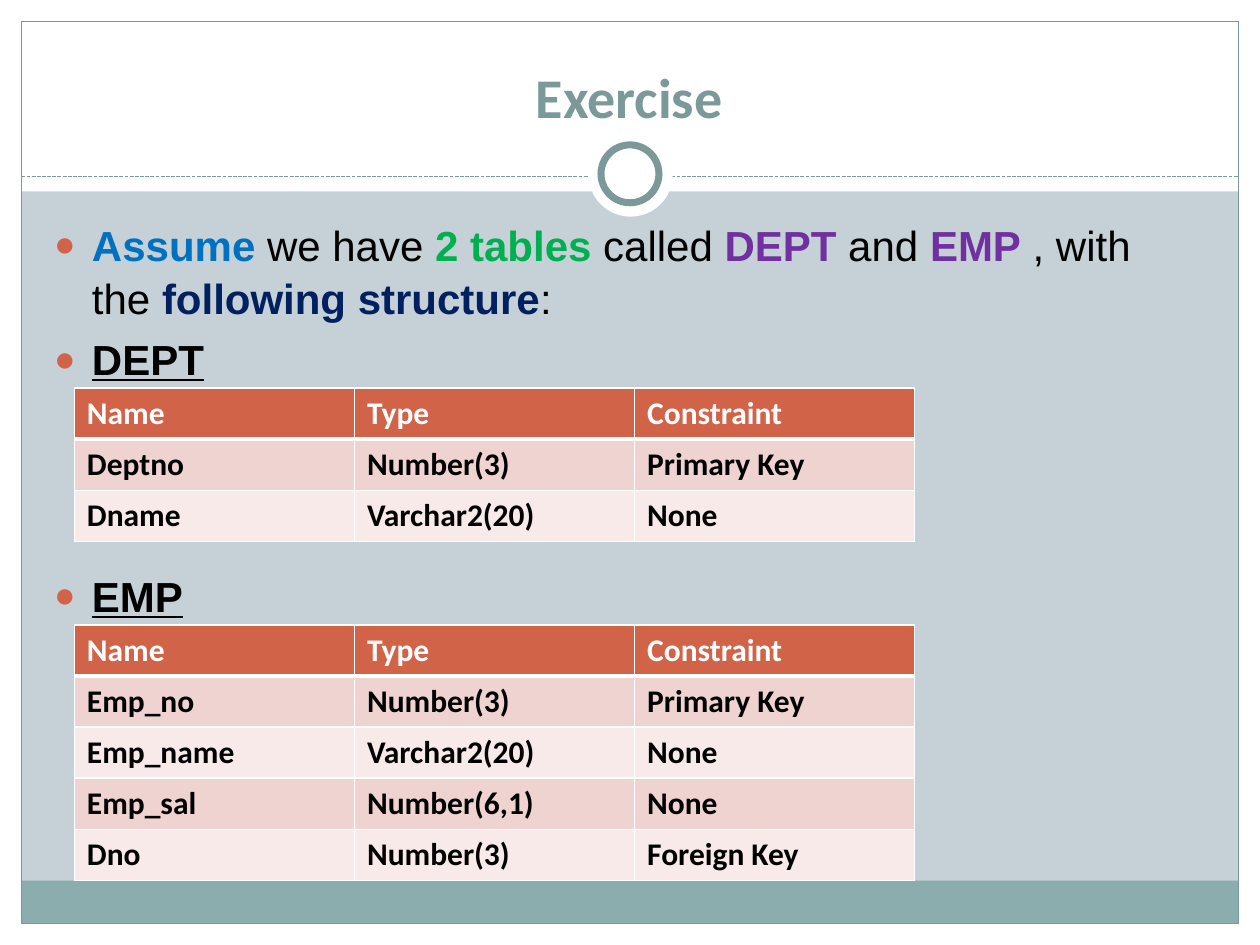
from lxml import etree
from pptx import Presentation
from pptx.dml.color import RGBColor
from pptx.enum.dml import MSO_LINE
from pptx.enum.shapes import MSO_CONNECTOR, MSO_SHAPE
from pptx.enum.text import MSO_ANCHOR, MSO_AUTO_SIZE, PP_ALIGN
from pptx.oxml.ns import qn
from pptx.util import Inches, Pt

RECTANGLE, OVAL = MSO_SHAPE.RECTANGLE, MSO_SHAPE.OVAL
STRAIGHT = MSO_CONNECTOR.STRAIGHT
DASH = MSO_LINE.SQUARE_DOT
TOP, BOTTOM = MSO_ANCHOR.TOP, MSO_ANCHOR.BOTTOM
LEFT, CENTER = PP_ALIGN.LEFT, PP_ALIGN.CENTER
NO_FIT = MSO_AUTO_SIZE.NONE

COLORS = {
    "background": "C5D1D7", "white": "FFFFFF", "black": "000000",
    "footer": "8CADAE", "slate": "7C999A", "accent": "D16349",
    "odd_row": "EED3D0", "even_row": "F7EAE9", "blue": "0070C0",
    "green": "00B050", "purple": "7030A0", "navy": "002060",
}
INTRO = [
    ("Assume", "blue"), (" we have ", None), ("2 tables ", "green"),
    ("called ", None), ("DEPT", "purple"), (" and ", None),
    ("EMP", "purple"), (" , with the ", None),
    ("following structure", "navy"), (":", None),
]
HEADER = ("Name", "Type", "Constraint")
DEPT_ROWS = [
    HEADER,
    ("Deptno", "Number(3)", "Primary Key"),
    ("Dname", "Varchar2(20)", "None"),
]
EMP_ROWS = [
    HEADER,
    ("Emp_no", "Number(3)", "Primary Key"),
    ("Emp_name", "Varchar2(20)", "None"),
    ("Emp_sal", "Number(6,1)", "None"),
    ("Dno", "Number(3)", "Foreign Key"),
]


def rgb(name):
    """Return the palette colour with this name."""
    return RGBColor.from_string(COLORS[name])


def add_span(para, text, size=24, font="Arial", color="black", bold=True, underline=False):
    """Add a formatted run of text to a paragraph."""
    span = para.add_run()
    span.text = text
    span.font.size = Pt(size)
    span.font.name = font
    span.font.bold = bold
    span.font.underline = underline
    span.font.color.rgb = rgb(color)


def add_panel(page, box, kind=RECTANGLE, fill=None, line=None, width=0.75):
    """Add a plain shape with an optional fill and outline."""
    panel = page.shapes.add_shape(kind, *map(Inches, box))
    panel.shadow.inherit = False
    if fill:
        panel.fill.solid()
        panel.fill.fore_color.rgb = rgb(fill)
    else:
        panel.fill.background()
    if line:
        panel.line.color.rgb = rgb(line)
        panel.line.width = Pt(width)
    else:
        panel.line.fill.background()
    return panel


def add_frame(page, width, height):
    """Draw the white margins, footer band, border, dashed rule and ring."""
    edge = 0.17
    inner = width - 2 * edge
    for box in (
        (0, height - edge, width, edge),
        (0, 0, width, 1.52),
        (0, 0, edge, height),
        (width - edge, 0, edge, height),
    ):
        add_panel(page, box, fill="white")
    add_panel(page, (edge, 6.99, inner, 0.34), fill="footer")
    add_panel(page, (edge, edge, inner, height - 2 * edge), line="slate")
    rule = page.shapes.add_connector(
        STRAIGHT, Inches(edge), Inches(1.4), Inches(width - edge), Inches(1.4))
    rule.line.color.rgb = rgb("slate")
    rule.line.width = Pt(0.75)
    rule.line.dash_style = DASH
    etree.SubElement(rule.element.spPr, qn("a:effectLst"))
    add_panel(page, (4.67, 1.05, 0.67, 0.67), OVAL, fill="white")
    return add_panel(page, (4.77, 1.15, 0.46, 0.46), OVAL, "white", "slate", 4)


def place_holder(holder, box, anchor):
    """Move a placeholder to its box and prepare its text frame."""
    holder.left, holder.top, holder.width, holder.height = map(Inches, box)
    frame = holder.text_frame
    frame.word_wrap = True
    frame.auto_size = NO_FIT
    frame.vertical_anchor = anchor
    return frame


def fill_title(holder, box, text):
    """Write the centred slide title."""
    para = place_holder(holder, box, BOTTOM).paragraphs[0]
    para.alignment = CENTER
    add_span(para, text, size=32, font="Calibri", color="slate")


def add_bullet(para):
    """Give a paragraph a hanging round bullet."""
    props = para._p.get_or_add_pPr()
    props.set("marL", str(Inches(0.3)))
    props.set("indent", str(-Inches(0.3)))
    color = etree.SubElement(props, qn("a:buClr"))
    etree.SubElement(color, qn("a:srgbClr"), val=COLORS["accent"])
    etree.SubElement(props, qn("a:buSzPct"), val="85000")
    etree.SubElement(props, qn("a:buChar"), char="●")


def fill_body(holder, box):
    """Write the introduction and the two table names as bullets."""
    frame = place_holder(holder, box, TOP)
    for index, space in enumerate((0, 5, 105)):
        para = frame.add_paragraph() if index else frame.paragraphs[0]
        add_bullet(para)
        para.alignment = LEFT
        para.space_before = Pt(space)
        para.line_spacing = 1.05
        if index:
            add_span(para, ("DEPT", "EMP")[index - 1], underline=True)
        else:
            for text, color in INTRO:
                add_span(para, text, color=color or "black", bold=bool(color))


def add_borders(cell, bottom):
    """Draw white borders round a cell."""
    props = cell._tc.get_or_add_tcPr()
    for side, width in (("L", 1), ("R", 1), ("T", 1), ("B", bottom)):
        line = etree.SubElement(props, qn(f"a:ln{side}"), w=str(Pt(width)))
        fill = etree.SubElement(line, qn("a:solidFill"))
        etree.SubElement(fill, qn("a:srgbClr"), val=COLORS["white"])


def add_structure(page, left, top, width, rows, row_height=0.405):
    """Add a table that describes the columns of one database table."""
    table = page.shapes.add_table(
        len(rows), len(HEADER), Inches(left), Inches(top),
        Inches(width), Inches(row_height * len(rows))).table
    for row, values in enumerate(rows):
        fill = "accent" if row == 0 else "odd_row" if row % 2 else "even_row"
        for column, text in enumerate(values):
            cell = table.cell(row, column)
            add_borders(cell, bottom=1 if row else 3)
            cell.fill.solid()
            cell.fill.fore_color.rgb = rgb(fill)
            add_span(cell.text_frame.paragraphs[0], text, size=18,
                     font="Calibri", color="black" if row else "white")


def main():
    """Build and save the exercise slide."""
    deck = Presentation()
    deck.slide_width, deck.slide_height = Inches(10), Inches(7.5)
    page = deck.slides.add_slide(deck.slide_layouts[1])
    page.background.fill.solid()
    page.background.fill.fore_color.rgb = rgb("background")
    title, body = page.shapes.title, page.placeholders[1]
    ring = add_frame(page, 10, 7.5)
    ring.element.addnext(title.element)
    title.element.addnext(body.element)
    fill_title(title, (0.33, 0.25, 9.33, 0.83), "Exercise")
    fill_body(body, (0.33, 1.67, 9.3, 5))
    add_structure(page, 0.59, 3.08, 6.67, DEPT_ROWS)
    add_structure(page, 0.59, 4.96, 6.67, EMP_ROWS)
    deck.save("out.pptx")


if __name__ == "__main__":
    main()
